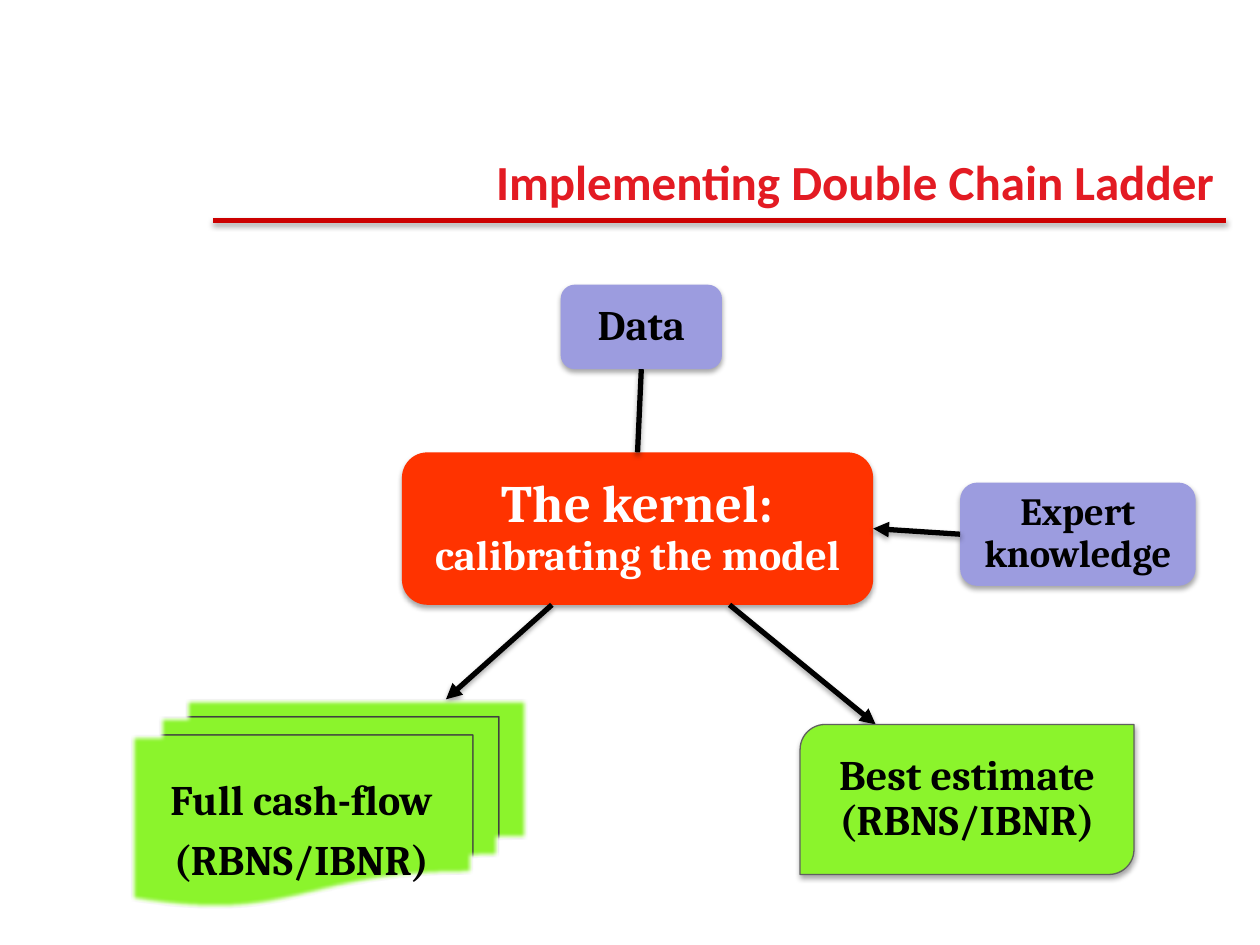
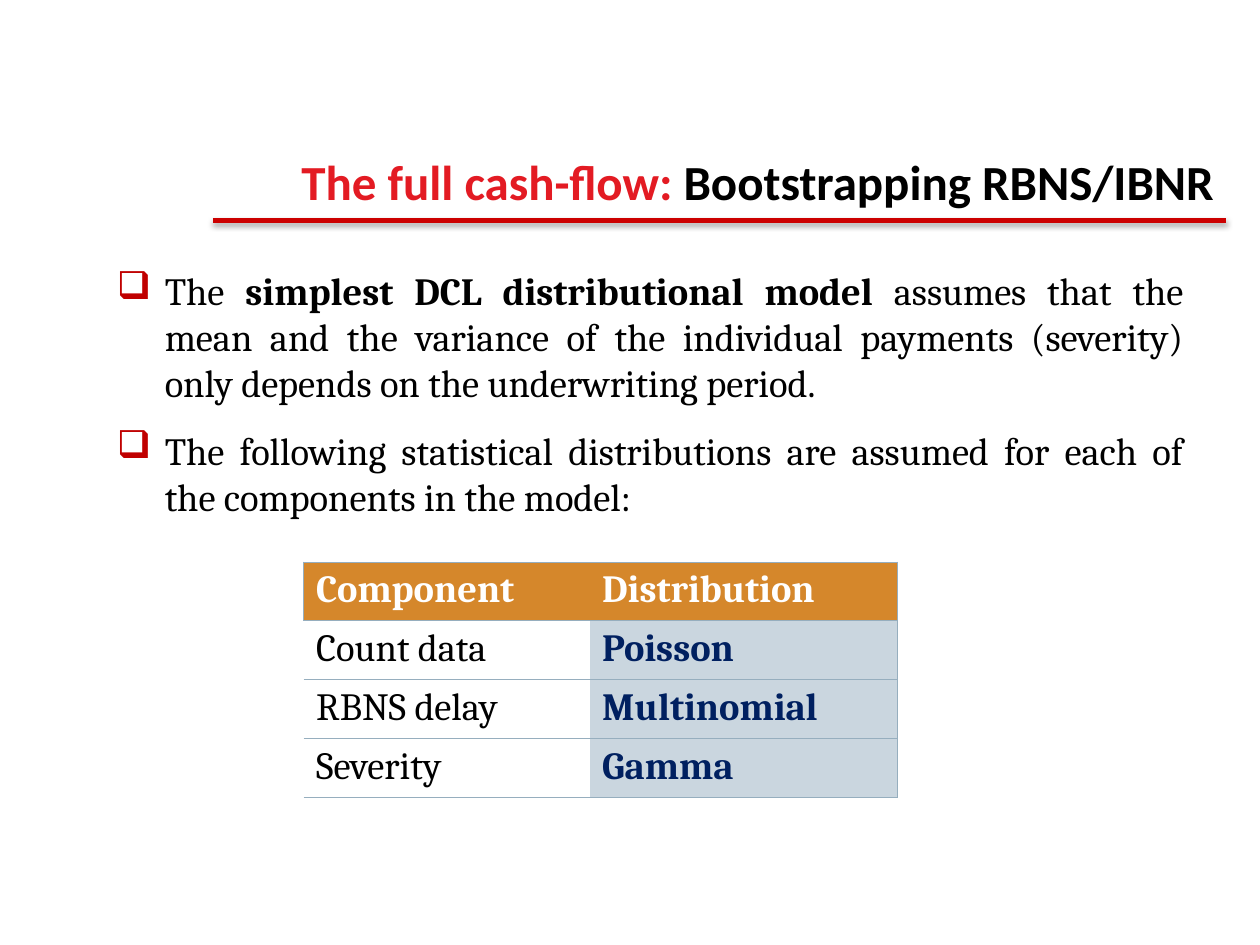
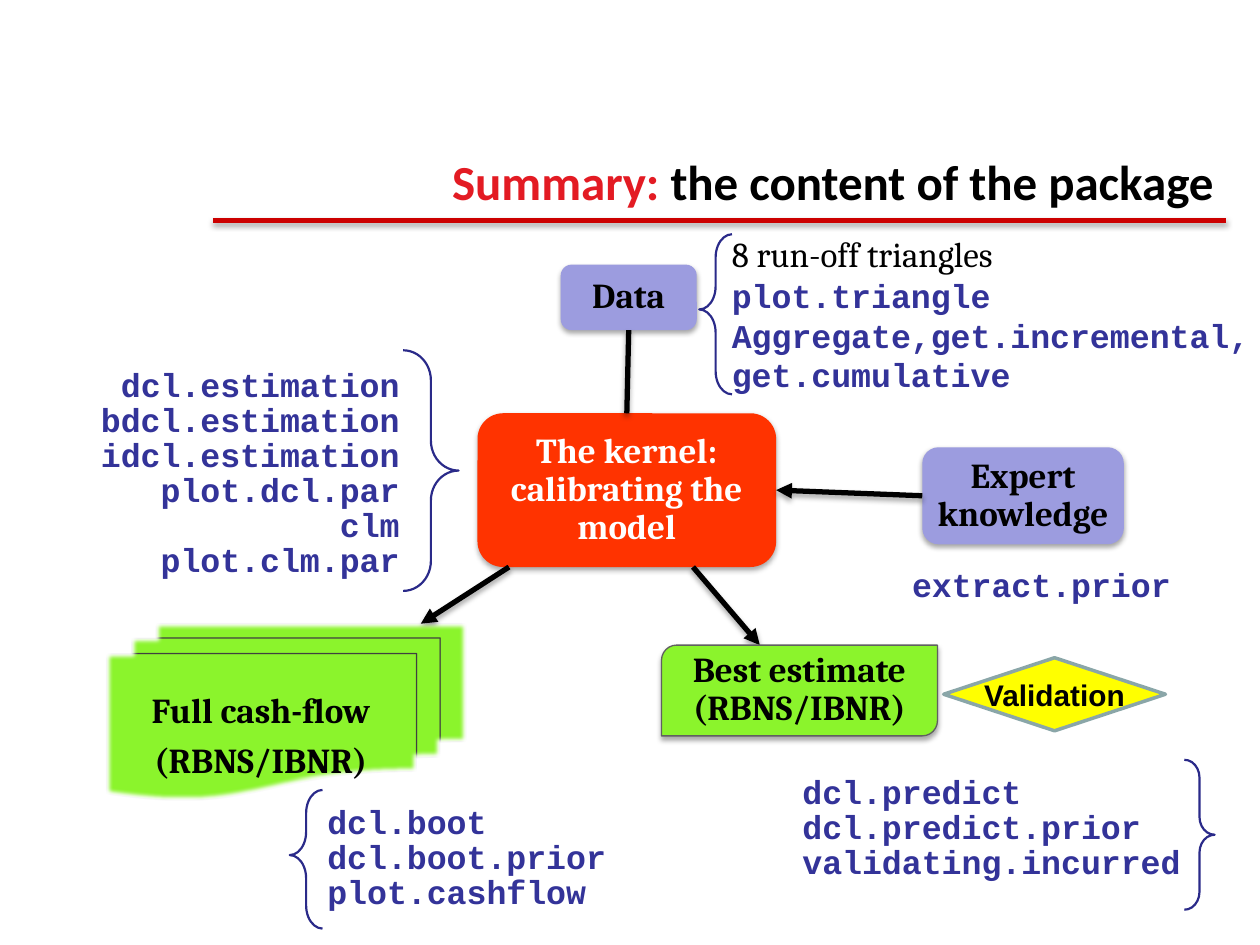
"""Builds three slides on Double Chain Ladder: workflow, distributions and package summary."""
from lxml import etree
from pptx import Presentation
from pptx import util as u
from pptx.dml.color import RGBColor
from pptx.enum import shapes, text
from pptx.oxml import ns

COLORS = dict(title="E31B23", rule="CC0000", black="000000", white="FFFFFF", kernel="FF3300",
              input="9C9CDF", output="8BF42C", edge="606060", doc_edge="404040", bullet="C00000",
              code="333399", brace="2A2A89", yellow="FFFF00", decision_edge="8AA6A8",
              header="D5872B", value="CAD6DF", grid="96AEBE", navy="002060")
SHAPE, ALIGN = shapes.MSO_SHAPE, text.PP_ALIGN
BODY = dict(name="Cambria", size=22, color="black", bold=False)
CODE = dict(name="Courier New", size=19, color="code", bold=True)

TITLES = [
    [("Implementing Double Chain Ladder", "title")],
    [("The full cash-flow: ", "title"), ("Bootstrapping RBNS/IBNR", "black")],
    [("Summary: ", "title"), ("the content of the package", "black")],
]

NODES = {
    "kernel": dict(kind=SHAPE.ROUNDED_RECTANGLE, fill="kernel", color="white"),
    "data": dict(kind=SHAPE.ROUNDED_RECTANGLE, fill="input", lines=["Data"]),
    "expert": dict(kind=SHAPE.ROUNDED_RECTANGLE, fill="input", lines=["Expert knowledge"]),
    "best": dict(kind=SHAPE.ROUND_2_DIAG_RECTANGLE, fill="output", line="edge",
                 lines=["Best estimate (RBNS/IBNR)"]),
    "cashflow": dict(kind=SHAPE.FLOWCHART_MULTIDOCUMENT, fill="output", line="doc_edge",
                     lines=["Full cash-flow", "(RBNS/IBNR)"], soft=True, drop=0.22),
}
WORKFLOW = dict(
    inset=0.07, kernel_text=[("The kernel: ", 30), ("calibrating the model", 24)],
    boxes=dict(kernel=(3.19, 3.59, 3.74, 1.21, 24), data=(4.45, 2.26, 1.28, 0.67, 24),
               expert=(7.62, 3.83, 1.87, 0.82, 22), best=(6.35, 5.75, 2.65, 1.19, 24),
               cashflow=(1.04, 5.55, 3.14, 1.66, 24)),
    arrows=[(5.79, 4.8, 6.95, 5.75), (4.38, 4.8, 3.54, 5.55)])
SUMMARY = dict(
    inset=0.06, kernel_text=[("The kernel: calibrating the model", 20)],
    boxes=dict(kernel=(3.79, 3.28, 2.37, 1.22, 20), data=(4.45, 2.1, 1.08, 0.52, 20),
               expert=(7.32, 3.55, 1.6, 0.77, 20), best=(5.25, 5.12, 2.19, 0.72, 20),
               cashflow=(0.84, 4.95, 2.86, 1.4, 20)),
    arrows=[(5.5, 4.5, 6.03, 5.12), (4.04, 4.5, 3.34, 4.95)])

BULLETS = [
    [("The ", False), ("simplest DCL distributional model", True),
     (" assumes that the mean and the variance of the individual payments (severity) "
      "only depends on the underwriting period.", False)],
    [("The following statistical distributions are assumed for each of the components "
      "in the model:", False)],
]
TABLE = [("Component", "Distribution"), ("Count data", "Poisson"),
         ("RBNS delay", "Multinomial"), ("Severity", "Gamma")]
COLUMNS, ROW_HEIGHT = (2.27, 2.44), 0.45

CODE_BLOCKS = [
    ((6.27, 6.11, 3.21, 0.95), ALIGN.LEFT, 20,
     ["dcl.predict", "dcl.predict.prior", "validating.incurred"]),
    ((2.5, 6.35, 2.74, 0.95), ALIGN.LEFT, 20, ["dcl.boot", "dcl.boot.prior", "plot.cashflow"]),
    ((7.14, 4.43, 2.6, 0.42), ALIGN.LEFT, None, ["extract.prior"]),
    ((0.27, 2.88, 3, 1.78), ALIGN.RIGHT, 20,
     ["dcl.estimation", "bdcl.estimation", "idcl.estimation", "plot.dcl.par", "clm",
      "plot.clm.par"]),
]
DATA_BOX = (5.71, 1.8, 4.35, 1.4)
DATA_LINES = [("8 run-off triangles", dict(BODY, size=20)), ("plot.triangle", CODE),
              ("Aggregate,get.incremental, get.cumulative", CODE)]
BRACES = [
    (SHAPE.RIGHT_BRACE, (3.2, 2.78, 0.44, 1.91), (0.54, 0.5)),
    (SHAPE.LEFT_BRACE, (2.3, 6.27, 0.26, 1.1), (0.71, 0.47)),
    (SHAPE.RIGHT_BRACE, (9.4, 6.03, 0.24, 1.19), (0.59, 0.5)),
    (SHAPE.LEFT_BRACE, (5.55, 1.86, 0.26, 1.27), (0.71, 0.47)),
]


def inches(values):
    return [u.Inches(v) for v in values]


def rgb(name):
    return RGBColor.from_string(COLORS[name])


def sub(parent, tag, **attrs):
    return etree.SubElement(parent, ns.qn(tag), {k: str(v) for k, v in attrs.items()})


def add_effect(sp, kind):
    effects = sub(sp._element.spPr, "a:effectLst")
    if kind == "soft":
        sub(effects, "a:softEdge", rad=31750)
    elif kind == "shadow":
        shadow = sub(effects, "a:outerShdw", blurRad=u.Pt(3.1), dist=u.Pt(1.8), dir=5400000,
                     rotWithShape=0)
        sub(sub(shadow, "a:srgbClr", val=COLORS["black"]), "a:alpha", val=35000)


def add_run(p, words, name, size, color, bold):
    r = p.add_run()
    r.text = words
    for key, value in dict(name=name, size=u.Pt(size), bold=bold).items():
        setattr(r.font, key, value)
    r.font.color.rgb = rgb(color)


def write(tf, paragraphs, **fmt):
    """Fill a text frame with paragraphs, each a list of (words, font) runs."""
    for i, runs in enumerate(paragraphs):
        p = tf.paragraphs[0] if i == 0 else tf.add_paragraph()
        for key, value in fmt.items():
            setattr(p, key, value)
        for words, font in runs:
            add_run(p, words, **font)


def add_text(s, box, paragraphs, **fmt):
    tf = s.shapes.add_textbox(*inches(box)).text_frame
    tf.word_wrap = True
    write(tf, paragraphs, **fmt)
    return tf


def add_box(s, kind, box, fill=None, line=None, width=0.75, effect=None):
    sp = s.shapes.add_shape(kind, *inches(box))
    if fill:
        sp.fill.solid()
        sp.fill.fore_color.rgb = rgb(fill)
    else:
        sp.fill.background()
    if line:
        sp.line.color.rgb = rgb(line)
        sp.line.width = u.Pt(width)
    else:
        sp.line.fill.background()
    add_effect(sp, effect)
    return sp


def add_line(s, ends=(0, 0, 0, 0), color="black", arrow=False, join=None):
    cn = s.shapes.add_connector(shapes.MSO_CONNECTOR.STRAIGHT, *inches(ends))
    if join:
        start, start_side, end, end_side = join
        cn.begin_connect(start, start_side)
        cn.end_connect(end, end_side)
    cn.line.color.rgb = rgb(color)
    cn.line.width = u.Pt(3)
    if arrow:
        sub(cn.line._get_or_add_ln(), "a:tailEnd", type="triangle")
    add_effect(cn, "shadow")


def add_titled_slide(prs, title):
    s = prs.slides.add_slide(prs.slide_layouts[6])
    add_line(s, (1.69, 1.75, 9.73, 1.75), "rule")
    font = dict(name="Calibri", size=28, bold=True)
    add_text(s, (1.65, 1.15, 8.08, 0.52), [[(words, dict(font, color=c)) for words, c in title]],
             alignment=ALIGN.RIGHT)
    return s


def add_node(s, flow, name):
    node = NODES[name]
    *box, size = flow["boxes"][name]
    sp = add_box(s, node["kind"], box, node["fill"], node.get("line"),
                 effect="soft" if node.get("soft") else "shadow")
    tf = sp.text_frame
    tf.word_wrap = True
    tf.vertical_anchor = text.MSO_ANCHOR.MIDDLE
    for side in ("left", "top", "right", "bottom"):
        extra = node.get("drop", 0) if side == "top" else 0
        setattr(tf, f"margin_{side}", u.Inches(flow["inset"] + extra))
    paragraphs = [[(line, size)] for line in node.get("lines", [])] or [flow["kernel_text"]]
    font = dict(BODY, color=node.get("color", "black"), bold=True)
    write(tf, [[(words, dict(font, size=pt)) for words, pt in runs] for runs in paragraphs],
          alignment=ALIGN.CENTER, line_spacing=0.9, space_after=u.Pt(round(0.35 * size, 1)))
    return sp


def add_flow(s, flow):
    kernel, data, expert = [add_node(s, flow, name) for name in ("kernel", "data", "expert")]
    add_line(s, join=(data, 2, kernel, 0))
    add_line(s, join=(expert, 1, kernel, 3), arrow=True)
    for ends in flow["arrows"]:
        add_line(s, ends, arrow=True)
    for name in ("best", "cashflow"):
        add_node(s, flow, name)


def add_bullets(s):
    tf = add_text(s, (0.83, 2.07, 8.66, 2.23),
                  [[(words, dict(BODY, bold=bold)) for words, bold in runs] for runs in BULLETS],
                  alignment=ALIGN.JUSTIFY, space_before=u.Pt(6), space_after=u.Pt(6))
    for p in tf.paragraphs:
        pPr = p._p.get_or_add_pPr()
        pPr.set("marL", str(u.Inches(0.38)))
        pPr.set("indent", str(-u.Inches(0.38)))
        sub(sub(pPr, "a:buClr"), "a:srgbClr", val=COLORS["bullet"])
        sub(pPr, "a:buChar", char="❑")


def set_borders(cell, sides):
    tcPr = cell._tc.get_or_add_tcPr()
    for i, side in enumerate("LRTB"):
        ln = etree.Element(ns.qn(f"a:ln{side}"), w=str(u.Pt(0.5)))
        if side in sides:
            sub(sub(ln, "a:solidFill"), "a:srgbClr", val=COLORS["grid"])
        else:
            sub(ln, "a:noFill")
        tcPr.insert(i, ln)


def add_distributions(s):
    size = (sum(COLUMNS), ROW_HEIGHT * len(TABLE))
    table = s.shapes.add_table(len(TABLE), len(COLUMNS), *inches((2.41, 4.46, *size))).table
    for column, width in zip(table.columns, COLUMNS):
        column.width = u.Inches(width)
    for i, row in enumerate(TABLE):
        for j, words in enumerate(row):
            if i == 0:
                fill, color = "header", "white"
            else:
                fill, color = [("white", "black"), ("value", "navy")][j]
            cell = table.cell(i, j)
            cell.fill.solid()
            cell.fill.fore_color.rgb = rgb(fill)
            write(cell.text_frame, [[(words, dict(BODY, color=color, bold=i == 0 or j == 1))]])
            set_borders(cell, "TB" + ("R" if j == 1 else "L" if i == 0 else ""))


def add_functions(s):
    for box, align, spacing, names in CODE_BLOCKS:
        add_text(s, box, [[(name, CODE)] for name in names], alignment=align,
                 line_spacing=spacing and u.Pt(spacing))
    add_text(s, DATA_BOX, [[line] for line in DATA_LINES])
    validation = add_box(s, SHAPE.FLOWCHART_DECISION, (7.49, 5.22, 1.76, 0.58), "yellow",
                         "decision_edge", 2)
    validation.text_frame.word_wrap = False
    font = dict(name="Arial", size=17, color="black", bold=True)
    write(validation.text_frame, [[("Validation", font)]], alignment=ALIGN.CENTER)
    for kind, box, adjustments in BRACES:
        brace = add_box(s, kind, box, line="brace", width=1.25)
        for i, value in enumerate(adjustments):
            brace.adjustments[i] = value


def main():
    prs = Presentation()
    prs.slide_width, prs.slide_height = inches((10, 7.5))
    workflow, bootstrap, summary = [add_titled_slide(prs, title) for title in TITLES]
    add_flow(workflow, WORKFLOW)
    add_bullets(bootstrap)
    add_distributions(bootstrap)
    add_flow(summary, SUMMARY)
    add_functions(summary)
    prs.save("out.pptx")


if __name__ == "__main__":
    main()
